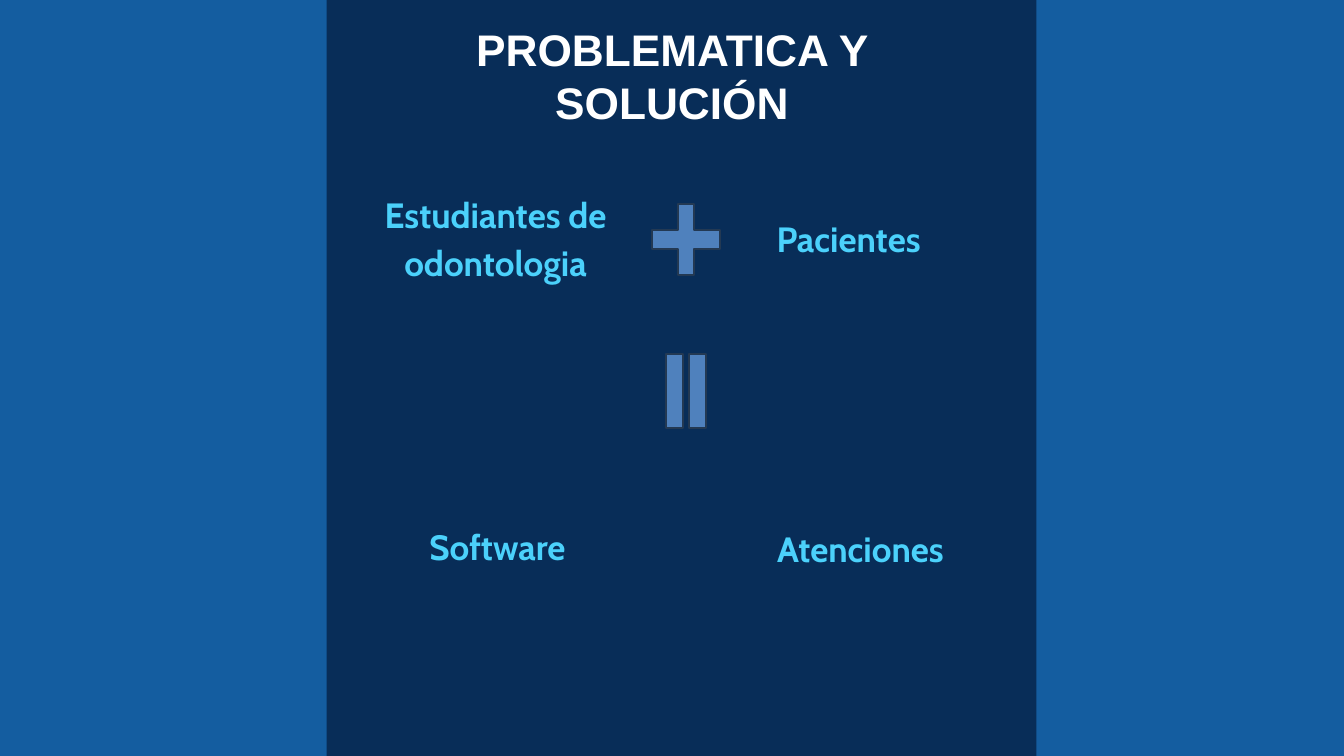
from lxml.etree import SubElement
from pptx import Presentation
from pptx.dml.color import RGBColor
from pptx.enum.shapes import MSO_SHAPE
from pptx.enum.text import MSO_AUTO_SIZE, PP_ALIGN
from pptx.oxml.ns import qn
from pptx.util import Pt

BLUE = "145DA0"
NAVY = "051D40"
WHITE = "FFFFFF"
CYAN = "4BD1FB"
SYMBOL_FILL = "4F81BD"
SYMBOL_LINE = "233953"


def set_fill(fill, color):
    fill.solid()
    fill.fore_color.rgb = RGBColor.from_string(color)


def add_panel(slide, left, top, width, height, color, opacity):
    """Add a borderless rectangle; opacity is in percent."""
    shape = slide.shapes.add_shape(
        MSO_SHAPE.RECTANGLE, Pt(left), Pt(top), Pt(width), Pt(height))
    shape.shadow.inherit = False
    set_fill(shape.fill, color)
    shape.line.fill.background()
    color_element = shape.fill._xPr.find(qn("a:solidFill"))[0]
    SubElement(color_element, qn("a:alpha"), val=str(opacity * 1000))


def add_text(slide, text, left, top, width, height, font, size, color, spacing):
    box = slide.shapes.add_textbox(Pt(left), Pt(top), Pt(width), Pt(height))
    frame = box.text_frame
    frame.word_wrap = True
    frame.auto_size = MSO_AUTO_SIZE.SHAPE_TO_FIT_TEXT
    frame.margin_left = frame.margin_right = 0
    frame.margin_top = frame.margin_bottom = 0
    paragraph = frame.paragraphs[0]
    paragraph.text = text
    paragraph.alignment = PP_ALIGN.CENTER
    paragraph.line_spacing = Pt(spacing)
    paragraph.font.name = font
    paragraph.font.size = Pt(size)
    paragraph.font.bold = True
    paragraph.font.color.rgb = RGBColor.from_string(color)


def add_symbol(slide, kind, left, top, width, height, adjustments, rotation=0):
    shape = slide.shapes.add_shape(
        kind, Pt(left), Pt(top), Pt(width), Pt(height))
    shape.shadow.inherit = False
    shape.rotation = rotation
    for index, value in enumerate(adjustments):
        shape.adjustments[index] = value
    set_fill(shape.fill, SYMBOL_FILL)
    set_fill(shape.line.fill, SYMBOL_LINE)
    shape.line.width = Pt(2)


def main():
    presentation = Presentation()
    presentation.slide_width = Pt(1440)
    presentation.slide_height = Pt(810)
    slide = presentation.slides.add_slide(presentation.slide_layouts[6])
    set_fill(slide.background.fill, BLUE)

    add_panel(slide, 350, 0, 760.5, 810, NAVY, 75)
    add_text(slide, "PROBLEMATICA Y SOLUCIÓN", 395.5, 24, 649, 114,
             "Arial", 47.4, WHITE, 56.9)

    terms = [
        ("Estudiantes de odontologia", 363.5, 200, 335, 101.5),
        ("Pacientes", 710.5, 226, 397.5, 50),
        ("Software", 365.5, 556.5, 335, 50),
        ("Atenciones", 754.5, 558.5, 335, 50),
    ]
    for text, left, top, width, height in terms:
        add_text(slide, text, left, top, width, height,
                 "Cabin", 37.6, CYAN, 51.9)

    add_symbol(slide, MSO_SHAPE.CROSS, 699, 219, 72, 75.5, [0.382])
    add_symbol(slide, MSO_SHAPE.MATH_EQUAL, 681, 381.5, 108, 75.5,
               [0.235, 0.09], rotation=90)

    presentation.save("out.pptx")


if __name__ == "__main__":
    main()
